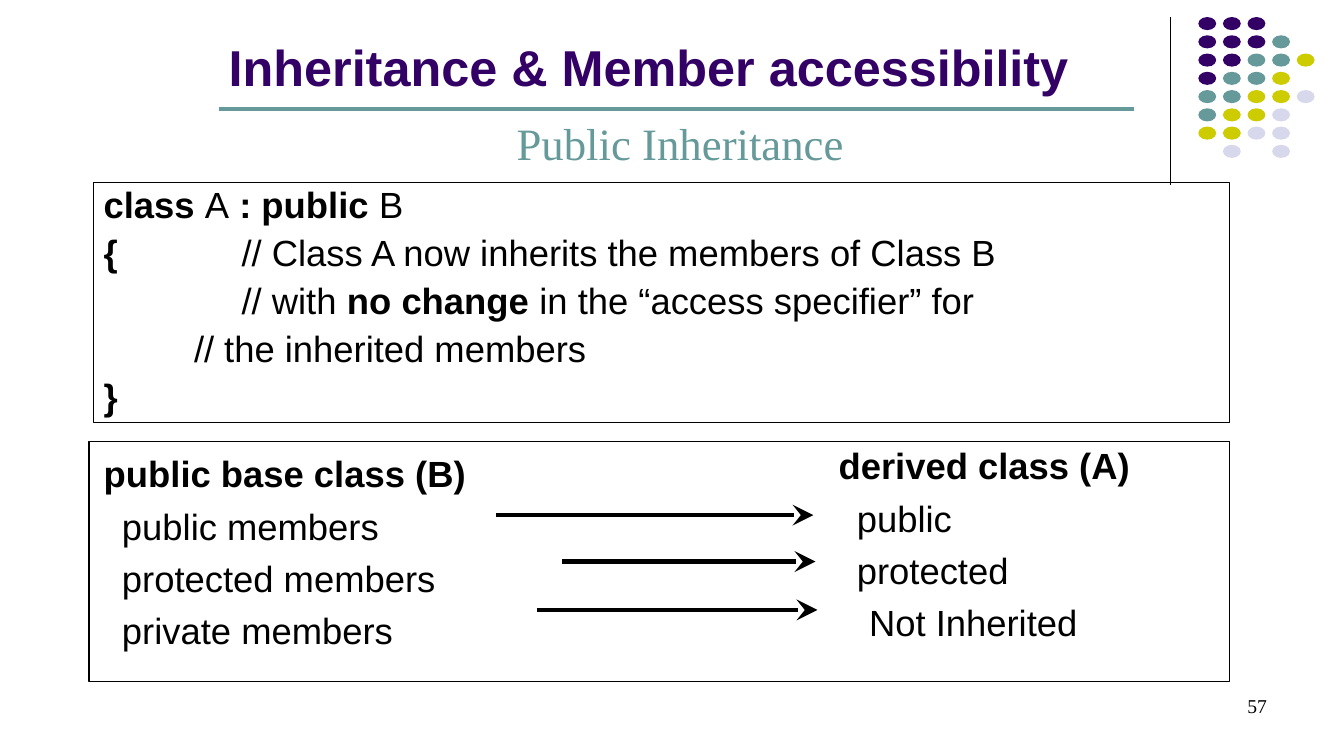
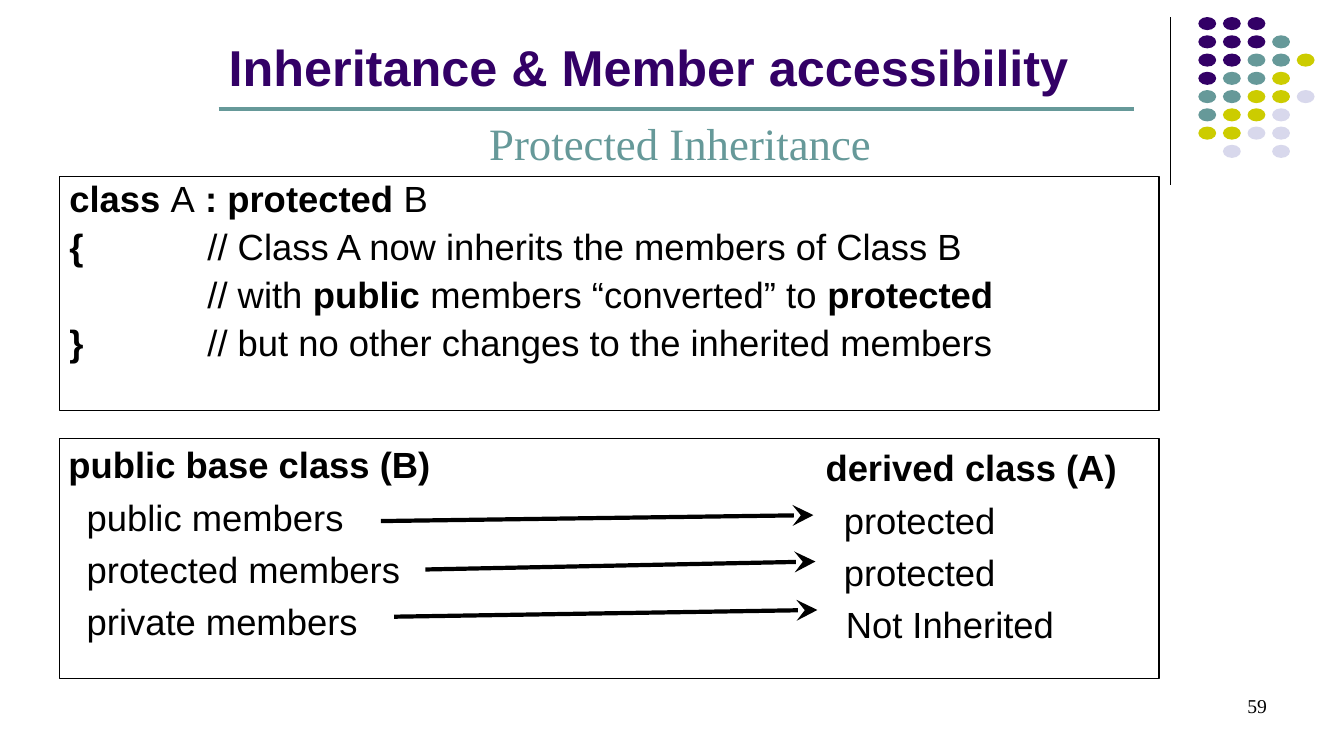
from dataclasses import dataclass

import pptx
import pptx.dml.color
import pptx.enum.shapes
import pptx.enum.text
import pptx.oxml.ns
import pptx.util
from lxml import etree

Cm = pptx.util.Cm
Pt = pptx.util.Pt
RGBColor = pptx.dml.color.RGBColor
PP_ALIGN = pptx.enum.text.PP_ALIGN
MSO_ANCHOR = pptx.enum.text.MSO_ANCHOR
MSO_SHAPE = pptx.enum.shapes.MSO_SHAPE
qn = pptx.oxml.ns.qn

PURPLE = RGBColor(0x33, 0x00, 0x66)
TEAL = RGBColor(0x66, 0x99, 0x99)
YELLOW = RGBColor(0xCC, 0xCC, 0x00)
LAVENDER = RGBColor(0xD8, 0xD8, 0xEC)
BLACK = RGBColor(0x00, 0x00, 0x00)

# Font formats
TITLE = {"name": "Arial", "size": Pt(36), "bold": True, "color": PURPLE}
SUBTITLE = {"name": "Times New Roman", "size": Pt(32), "color": TEAL}
BODY = {"name": "Arial", "size": Pt(26), "color": BLACK}
NUMBER = {"name": "Times New Roman", "size": Pt(14), "color": BLACK}

# Decoration of dots, one letter a dot
DOT_COLORS = {"P": PURPLE, "T": TEAL, "Y": YELLOW, "L": LAVENDER}
DOT_ROWS = ("PPP", "PPPT", "PPTTY", "PTTY", "TTYYL", "TYYL", "YYLL", " L L")

ITEM_INDENT = 0.46
COMMENT_INDENT = 3.48
SPACE_BEFORE = Pt(6.2)
ARROW_TIPS = ((20.5, 12.98), (20.55, 14.15), (20.6, 15.37))


@dataclass
class Box:
    left: float
    top: float
    width: float
    height: float

    def lengths(self) -> tuple:
        return Cm(self.left), Cm(self.top), Cm(self.width), Cm(self.height)


@dataclass
class Line:
    """Text with ** around bold parts; first is the offset of its first line."""
    text: str
    indent: float = 0
    first: float = 0


@dataclass
class Lesson:
    subtitle: str
    number: str
    code_box: Box
    code: list[Line]
    panel: Box
    base_box: Box
    derived_box: Box
    derived: list[Line]
    arrow_starts: tuple


def comment(text: str) -> Line:
    return Line(text, COMMENT_INDENT, -COMMENT_INDENT)


def item(text: str, indent: float = ITEM_INDENT) -> Line:
    return Line(text, indent)


BASE = [Line("**public base class (B)**"), item("public members"),
        item("protected members"), item("private members")]
INHERITS = comment("**{\t**// Class A now inherits the members of Class B")

LESSONS = [
    Lesson(
        "Public Inheritance", "57",
        Box(2.36, 4.6, 28.63, 6.05),
        [Line("**class **A** : public **B"), INHERITS,
         comment("\t// with **no change **in the “access specifier” for"),
         Line("// the inherited members", 2.28), Line("**}**")],
        Box(2.24, 11.13, 28.75, 6.05),
        Box(2.36, 11.25, 13.08, 5.84),
        Box(20.88, 11.05, 9.73, 6.73),
        [Line("**derived class (A)**"), item("public"), item("protected"),
         item("Not Inherited", 0.77)],
        ((12.5, 12.98), (14.17, 14.15), (13.54, 15.37)),
    ),
    Lesson(
        "Protected Inheritance", "59",
        Box(1.5, 4.45, 27.71, 5.89),
        [Line("**class **A** : protected **B"), INHERITS,
         comment("\t// with **public** members “converted” to **protected**"),
         comment("**}\t**// but no other changes to the inherited members")],
        Box(1.5, 11.05, 27.71, 6.05),
        Box(1.47, 11.02, 10.21, 6.76),
        Box(20.55, 11.1, 8.66, 6.73),
        [Line("**derived class (A)**"), item("protected"), item("protected"),
         item("Not Inherited", 0.51)],
        ((9.6, 13.13), (10.72, 14.35), (9.93, 15.54)),
    ),
]


def add_run(p, text: str, fmt: dict) -> None:
    r = p.add_run()
    r.text = text
    for key, value in fmt.items():
        if key == "color":
            r.font.color.rgb = value
        else:
            setattr(r.font, key, value)


def set_frame(tf, anchor=MSO_ANCHOR.TOP) -> None:
    values = {"word_wrap": True, "vertical_anchor": anchor,
              "auto_size": pptx.enum.text.MSO_AUTO_SIZE.NONE}
    for key, value in values.items():
        setattr(tf, key, value)


def place(sp, box: Box) -> None:
    for key, value in zip(("left", "top", "width", "height"), box.lengths()):
        setattr(sp, key, value)


def fill_lines(tf, lines: list[Line], spacing: float = 1.0) -> None:
    set_frame(tf)
    for i, line in enumerate(lines):
        p = tf.paragraphs[0] if i == 0 else tf.add_paragraph()
        p.alignment = PP_ALIGN.LEFT
        p.line_spacing = spacing
        p.space_before = SPACE_BEFORE
        pPr = p._p.get_or_add_pPr()
        pPr.set("marL", str(Cm(line.indent)))
        pPr.set("indent", str(Cm(line.first)))
        etree.SubElement(pPr, qn("a:buNone"))
        for j, part in enumerate(line.text.split("**")):
            if part:
                add_run(p, part, BODY | {"bold": j % 2 == 1})


def add_label(s, text: str, box: Box, fmt: dict, align, anchor) -> None:
    tf = s.shapes.add_textbox(*box.lengths()).text_frame
    set_frame(tf, anchor)
    tf.paragraphs[0].alignment = align
    add_run(tf.paragraphs[0], text, fmt)


def add_line(s, start: tuple, end: tuple, color: RGBColor, width: float,
             arrow: bool = False) -> None:
    c = s.shapes.add_connector(pptx.enum.shapes.MSO_CONNECTOR.STRAIGHT,
                               *(Cm(v) for v in start + end))
    c.line.color.rgb = color
    c.line.width = Pt(width)
    if arrow:
        etree.SubElement(c.line._get_or_add_ln(), qn("a:tailEnd"),
                         type="stealth", w="lg", len="lg")
    etree.SubElement(c._element.spPr, qn("a:effectLst"))


def add_frame(s, box: Box, width: float):
    sp = s.shapes.add_shape(MSO_SHAPE.RECTANGLE, *box.lengths())
    sp.shadow.inherit = False
    sp.fill.background()
    sp.line.color.rgb = BLACK
    sp.line.width = Pt(width)
    return sp


def add_dots(s) -> None:
    group = s.shapes.add_group_shape()
    for row, letters in enumerate(DOT_ROWS):
        for col, letter in enumerate(letters):
            if letter == " ":
                continue
            box = Box(30.2 + 0.62 * col, 0.43 + 0.46 * row, 0.45, 0.33)
            sp = group.shapes.add_shape(MSO_SHAPE.OVAL, *box.lengths())
            sp.shadow.inherit = False
            sp.fill.solid()
            sp.fill.fore_color.rgb = DOT_COLORS[letter]
            sp.line.fill.background()


def add_header(s, lesson: Lesson) -> None:
    """Draw what all slides share: dots, title, rules, subtitle and number."""
    add_line(s, (29.49, 0.43), (29.49, 4.65), BLACK, 0.75)
    add_dots(s)
    title = s.shapes.title
    place(title, Box(5.51, 0.64, 22.86, 1.91))
    set_frame(title.text_frame, MSO_ANCHOR.BOTTOM)
    p = title.text_frame.paragraphs[0]
    p.alignment = PP_ALIGN.LEFT
    add_run(p, "Inheritance & Member accessibility", TITLE)
    add_line(s, (5.51, 2.75), (28.58, 2.75), TEAL, 3)
    add_label(s, lesson.subtitle, Box(6.35, 2.97, 21.59, 1.27), SUBTITLE,
              PP_ALIGN.CENTER, MSO_ANCHOR.MIDDLE)
    add_label(s, lesson.number, Box(24.28, 17.35, 7.9, 1.27), NUMBER,
              PP_ALIGN.RIGHT, MSO_ANCHOR.TOP)


def add_lesson(prs, lesson: Lesson) -> None:
    s = prs.slides.add_slide(prs.slide_layouts.get_by_name("Two Content"))
    add_header(s, lesson)

    # Class declaration
    code = add_frame(s, lesson.code_box, 0.75)
    fill_lines(code.text_frame, lesson.code, 0.9)

    # Members of the base class and what they become
    add_frame(s, lesson.panel, 1)
    columns = ((1, lesson.base_box, BASE),
               (2, lesson.derived_box, lesson.derived))
    for idx, box, lines in columns:
        sp = s.placeholders[idx]
        place(sp, box)
        fill_lines(sp.text_frame, lines)
    for start, tip in zip(lesson.arrow_starts, ARROW_TIPS):
        add_line(s, start, tip, BLACK, 3, arrow=True)


def main() -> None:
    prs = pptx.Presentation()
    prs.slide_width, prs.slide_height = Cm(33.87), Cm(19.05)
    for lesson in LESSONS:
        add_lesson(prs, lesson)
    prs.save("out.pptx")


if __name__ == "__main__":
    main()
